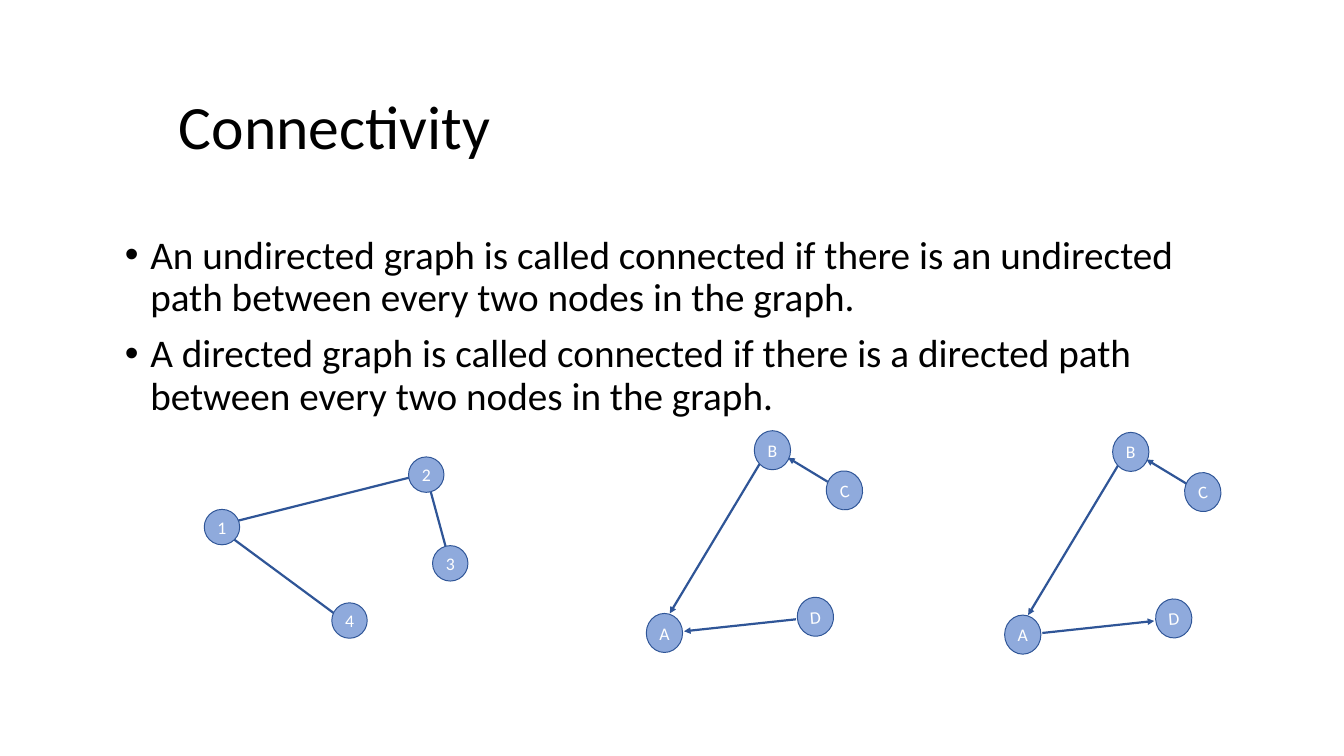
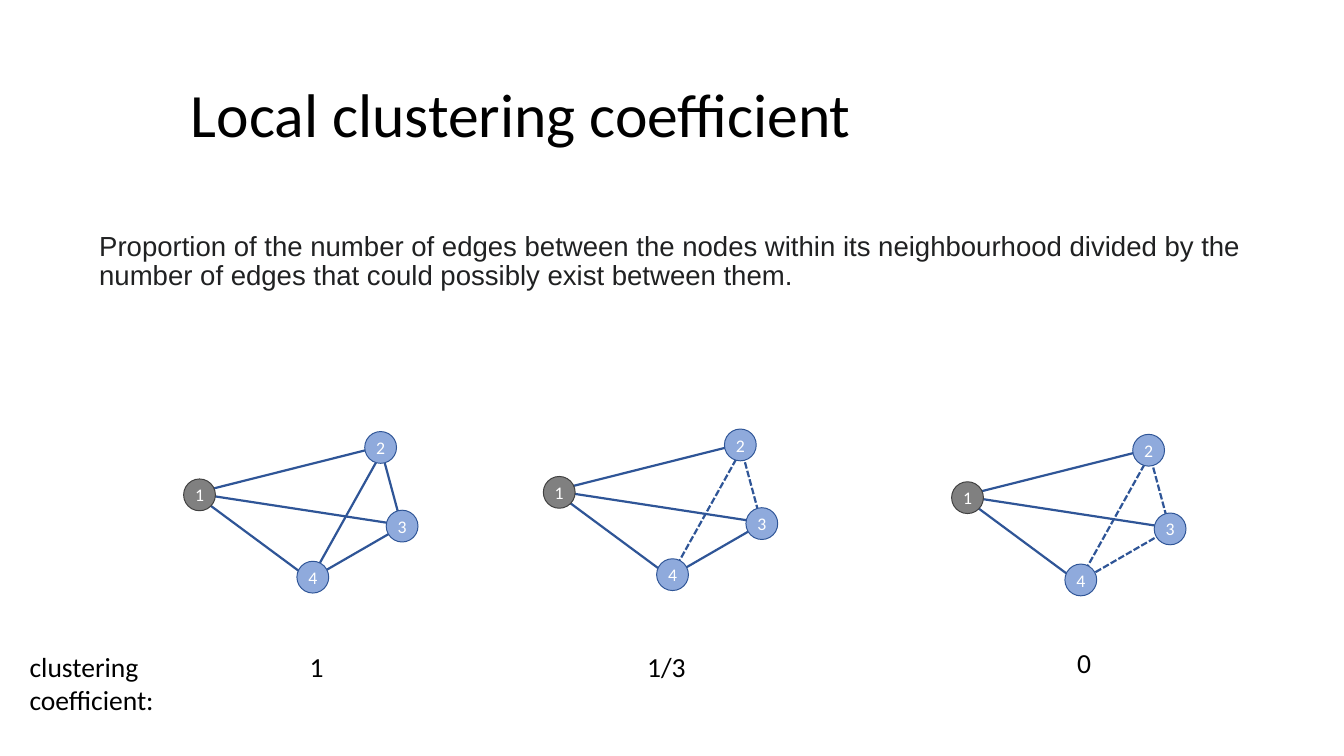
"""Build two slides on graph connectivity and local clustering."""
import pptx
import pptx.util
import pptx.dml.color
import pptx.enum.dml
import pptx.enum.shapes
import pptx.enum.text
import pptx.oxml.ns
import lxml.etree

Cm = pptx.util.Cm
Pt = pptx.util.Pt
hue = pptx.dml.color.RGBColor.from_string
qn = pptx.oxml.ns.qn
text = pptx.enum.text
kinds = pptx.enum.shapes

BLUE = ("8FAADC", "2F5597")
GREY = ("808080", "404040")
EDGE = BLUE[1]


def write(frame, words, size, color="000000", font="Calibri", align=text.PP_ALIGN.LEFT):
    """Put words in a frame and format every run."""
    frame.text = words
    for para in frame.paragraphs:
        para.alignment = align
        for run in para.runs:
            run.font.name = font
            run.font.size = Pt(size)
            run.font.color.rgb = hue(color)


def place(shape, left, top, width, height):
    """Move and size a shape in centimetres."""
    shape.left, shape.top = Cm(left), Cm(top)
    shape.width, shape.height = Cm(width), Cm(height)


tree = (
    [("1", 0, 1.88, 0, BLUE), ("2", 7.32, 0, 0, BLUE),
     ("4", 4.57, 5.23, 0, BLUE), ("3", 8.18, 3.18, 0, BLUE)],
    [(0.46, 2.51, 5.21, 6.02), (0.79, 2.39, 7.75, 0.64), (7.95, 0.64, 8.81, 3.81)],
    (1.27, 1.27),
)
arrows = (
    [("A", 0, 6.55, 0, BLUE), ("B", 3.87, 0, 0, BLUE),
     ("D", 5.41, 5.97, -4, BLUE), ("C", 6.45, 1.44, -9, BLUE)],
    [(1.35, 7.19, 5.36, 6.76), (0.84, 6.55, 4.06, 1.19), (5.08, 0.97, 6.5, 1.83)],
    (1.3, 1.4),
)
hood = (
    [("1", 0, 1.7, 0, GREY), ("2", 6.49, 0, 0, BLUE),
     ("4", 4.06, 4.65, 0, BLUE), ("3", 7.26, 2.82, 0, BLUE)],
    [(7.06, 0.81, 4.62, 5.18), (0.71, 2.26, 7.82, 3.35), (7.82, 3.4, 4.74, 5.18),
     (0.43, 2.26, 4.62, 5.36), (0.71, 2.13, 6.88, 0.58), (7.06, 0.58, 7.82, 3.4)],
    (1.14, 1.14),
)

pages = [
    {
        "title": "Connectivity",
        "head": (6.15, 2.54, 39.73, 4.19),
        "body": "An undirected graph is called connected if there is an undirected "
                "path between every two nodes in the graph.\n"
                "A directed graph is called connected if there is a directed path "
                "between every two nodes in the graph.",
        "box": (4.22, 8.31, 39.73, 7.29),
        "style": (39.8, "000000", "Calibri"),
        "list": True,
        "graphs": [
            (tree, 7.32, 16.38, {}),
            (arrows, 23.16, 15.44, {0: "headEnd", 1: "headEnd", 2: "headEnd"}),
            (arrows, 36, 15.5, {0: "tailEnd", 1: "headEnd", 2: "headEnd"}),
        ],
        "notes": [],
    },
    {
        "title": "Local clustering coefficient",
        "head": (6.58, 1.6, 38.28, 5.23),
        "body": "Proportion of the number of edges between the nodes within its "
                "neighbourhood divided by the number of edges that could possibly "
                "exist between them.",
        "box": (3.3, 8.2, 41.55, 2.82),
        "style": (28, "202122", "Arial"),
        "list": False,
        "graphs": [
            (hood, 6.58, 15.47, {}),
            (hood, 19.47, 15.38, {0: "dash", 5: "dash"}),
            (hood, 34.1, 15.57, {0: "dash", 2: "dash", 5: "dash"}),
        ],
        "notes": [
            ("clustering coefficient:", 0.81, 23.16, 6.91, 2.64),
            ("1", 10.85, 23.16, 2.31, 1.45),
            ("1/3", 22.94, 23.16, 2.31, 1.45),
            ("0", 38.35, 23.04, 2.31, 1.45),
        ],
    },
]

deck = pptx.Presentation()
deck.slide_width, deck.slide_height = Cm(48.16), Cm(27.1)

for page in pages:
    slide = deck.slides.add_slide(deck.slide_layouts[1])
    title, body = slide.placeholders
    place(title, *page["head"])
    place(body, *page["box"])
    write(title.text_frame, page["title"], 62.6)
    write(body.text_frame, page["body"], *page["style"])
    title.text_frame.vertical_anchor = text.MSO_ANCHOR.MIDDLE
    title.text_frame.paragraphs[0].line_spacing = 0.9
    for hold in (title, body):
        hold.text_frame.auto_size = text.MSO_AUTO_SIZE.NONE
        hold.text_frame.word_wrap = True

    dent = Cm(0.91) if page["list"] else 0
    for rank, para in enumerate(body.text_frame.paragraphs):
        props = para._p.get_or_add_pPr()
        props.set("marL", str(dent))
        props.set("indent", str(-dent))
        if page["list"]:
            lxml.etree.SubElement(props, qn("a:buChar")).set("char", "•")
        else:
            lxml.etree.SubElement(props, qn("a:buNone"))
        para.line_spacing = 0.9
        para.space_before = Pt(14.2 if rank else 0)

    for (nodes, edges, size), left, top, marks in page["graphs"]:
        group = slide.shapes.add_group_shape()
        for rank, (x1, y1, x2, y2) in enumerate(edges):
            edge = group.shapes.add_connector(
                kinds.MSO_CONNECTOR.STRAIGHT,
                Cm(left + x1), Cm(top + y1), Cm(left + x2), Cm(top + y2))
            edge.line.color.rgb = hue(EDGE)
            edge.line.width = Pt(2.25)
            mark = marks.get(rank)
            if mark == "dash":
                edge.line.dash_style = pptx.enum.dml.MSO_LINE.SQUARE_DOT
            elif mark:
                tip = lxml.etree.SubElement(edge.line._get_or_add_ln(), qn("a:" + mark))
                tip.set("type", "triangle")
            lxml.etree.SubElement(edge._element.spPr, qn("a:effectLst"))

        for name, x, y, turn, (fill, rim) in nodes:
            node = group.shapes.add_shape(kinds.MSO_SHAPE.OVAL, 0, 0, 0, 0)
            place(node, left + x, top + y, *size)
            node.rotation = turn
            node.shadow.inherit = False
            node.fill.solid()
            node.fill.fore_color.rgb = hue(fill)
            node.line.color.rgb = hue(rim)
            node.line.width = Pt(1)
            frame = node.text_frame
            frame.margin_left = frame.margin_right = 0
            frame.margin_top = frame.margin_bottom = 0
            frame.vertical_anchor = text.MSO_ANCHOR.MIDDLE
            write(frame, name, 18, "FFFFFF", align=text.PP_ALIGN.CENTER)

        xs = [part.left for part in group.shapes]
        ys = [part.top for part in group.shapes]
        wide = max(part.left + part.width for part in group.shapes) - min(xs)
        high = max(part.top + part.height for part in group.shapes) - min(ys)
        frame = group._element.grpSpPr.get_or_add_xfrm()
        for tag, pair in (("off", (min(xs), min(ys))), ("chOff", (min(xs), min(ys)))):
            spot = frame.find(qn("a:" + tag))
            spot.set("x", str(pair[0]))
            spot.set("y", str(pair[1]))
        for tag in ("ext", "chExt"):
            span = frame.find(qn("a:" + tag))
            span.set("cx", str(wide))
            span.set("cy", str(high))

    for words, *spot in page["notes"]:
        note = slide.shapes.add_textbox(*map(Cm, spot))
        note.text_frame.word_wrap = True
        note.text_frame.auto_size = text.MSO_AUTO_SIZE.SHAPE_TO_FIT_TEXT
        write(note.text_frame, words, 28)

deck.save("out.pptx")
